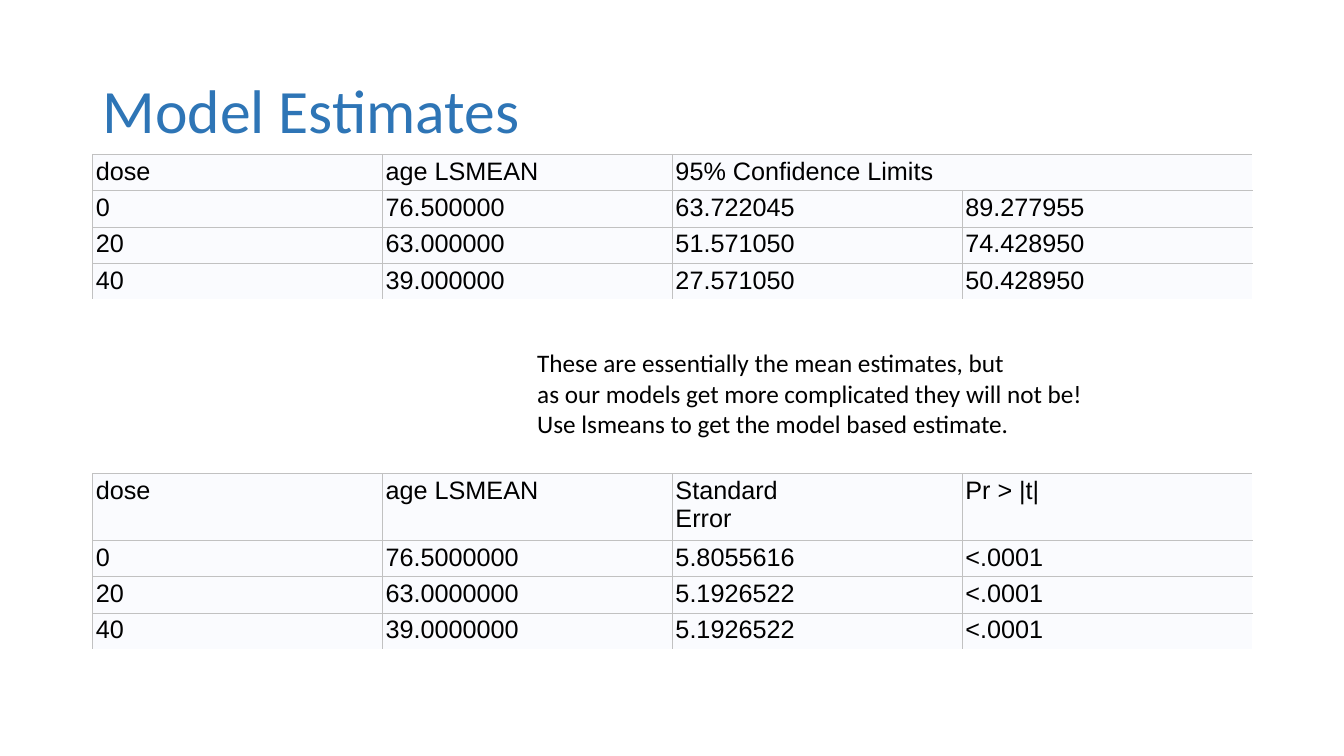
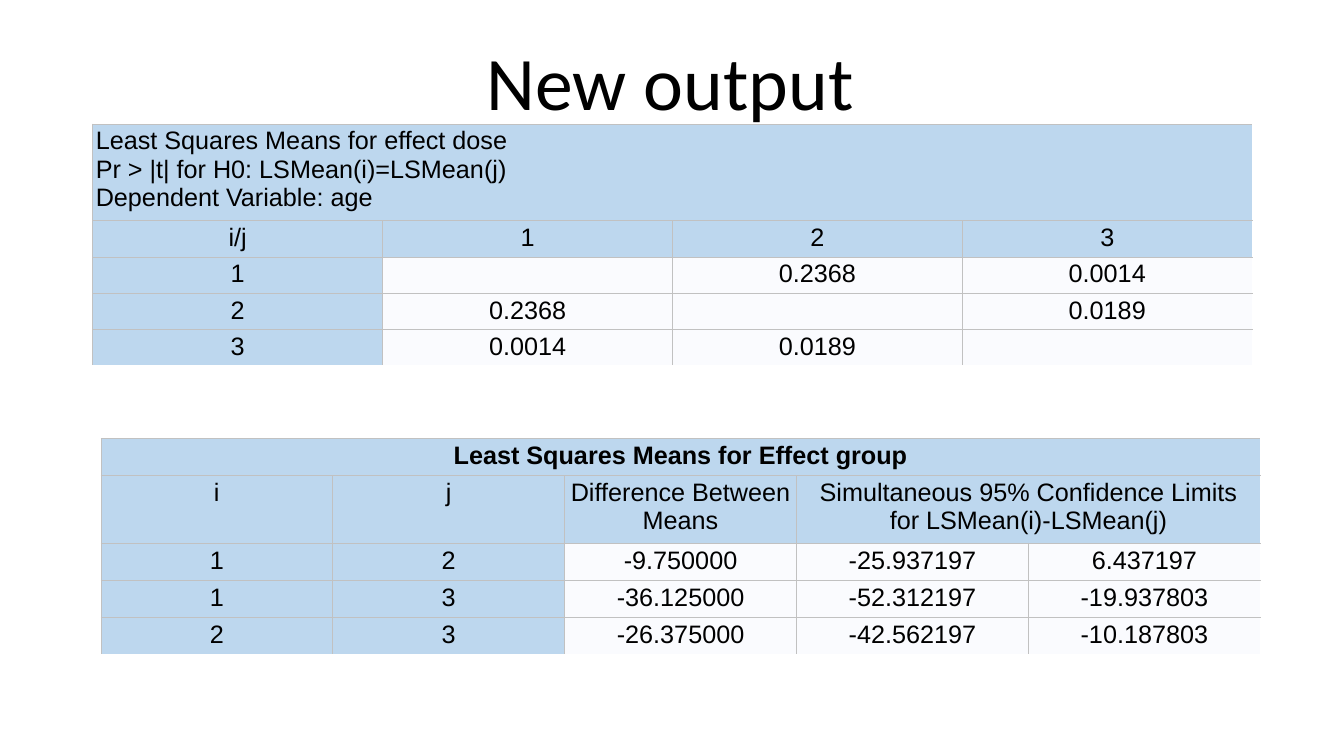
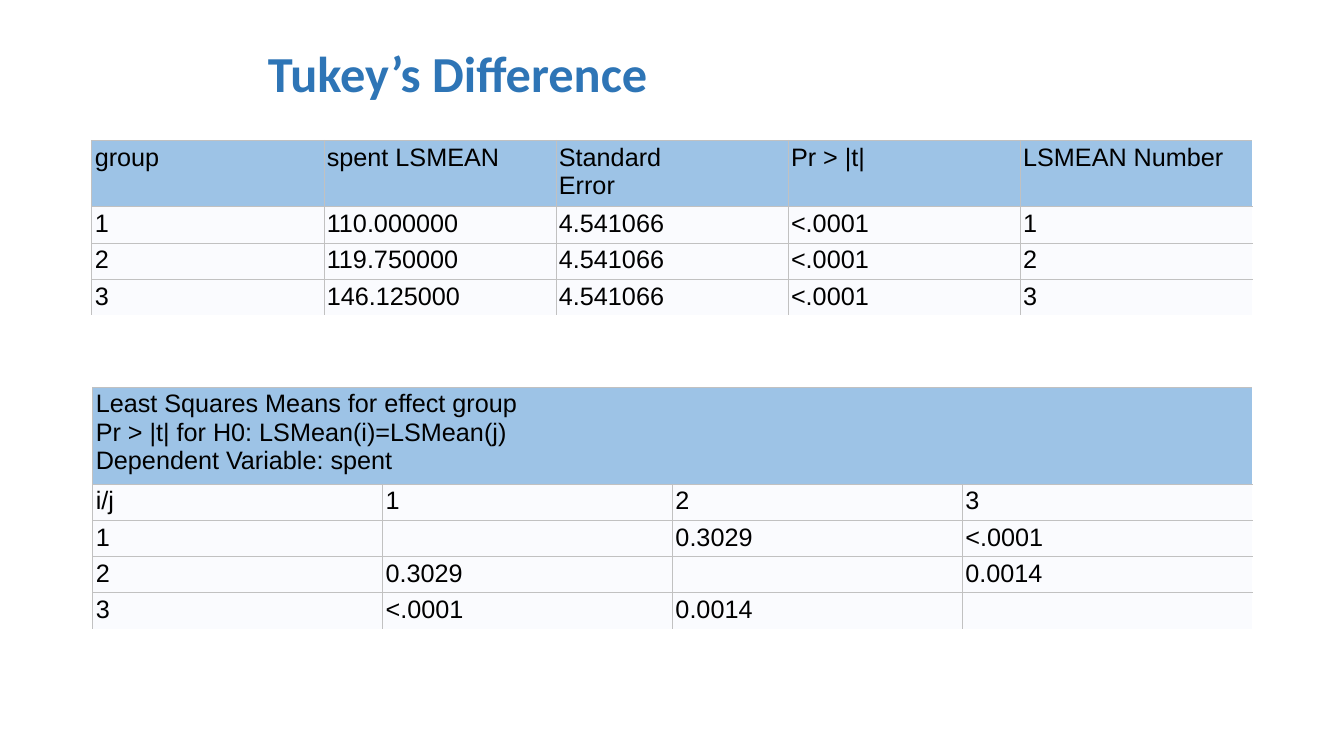
from dataclasses import dataclass

from lxml import etree
from pptx import Presentation
from pptx.dml.color import RGBColor
from pptx.enum.text import MSO_ANCHOR, PP_ALIGN
from pptx.oxml.ns import qn
from pptx.text.text import Font
from pptx.util import Emu, Pt

LEFT, MID = PP_ALIGN.LEFT, PP_ALIGN.CENTER
TOP, HALF = MSO_ANCHOR.TOP, MSO_ANCHOR.MIDDLE


@dataclass(frozen=True)
class Theme:
    ink: str = "000000"
    blue: str = "2E75B6"
    rule: str = "C1C1C1"
    pale: str = "FAFBFE"
    light: str = "BDD7EE"
    deep: str = "9DC3E6"
    text: str = "Calibri"
    data: str = "Arial"
    body: int = 18
    small: int = 36
    title: int = 44
    large: int = 54


T = Theme()


def px(n):
    """Turn px, 100 to the inch, into EMU."""
    return Emu(int(n * 9144))


def write(frame, text, size=T.body, face=T.text, color=T.ink, bold=False,
          align=LEFT, lead=None):
    """Fill a text frame; a newline in the text is a line break."""
    para = frame.paragraphs[0]
    para.text = text
    para.alignment = align
    if lead:
        para.line_spacing = lead
    node = para._p
    props = [run._r.get_or_add_rPr() for run in para.runs]
    props += [etree.SubElement(br, qn("a:rPr")) for br in node.findall(qn("a:br"))]
    props.append(node.get_or_add_endParaRPr())
    for prop in props:
        font = Font(prop)
        font.size, font.name, font.bold = Pt(size), face, bold
        font.color.rgb = RGBColor.from_string(color)


def label(slide, box, text, wrap=True, anchor=TOP, **style):
    frame = slide.shapes.add_textbox(*map(px, box)).text_frame
    frame.word_wrap = wrap
    frame.vertical_anchor = anchor
    write(frame, text, **style)


def edge(cell, sides):
    props = cell._tc.get_or_add_tcPr()
    for side in sides:
        line = etree.SubElement(props, qn("a:ln" + side), w=str(Pt(0.5)))
        fill = etree.SubElement(line, qn("a:solidFill"))
        etree.SubElement(fill, qn("a:srgbClr"), val=T.rule)


def grid(slide, box, rows, shade=T.pale, tops=0, sides=0, mid=None, lead=28,
         bold=False):
    """Draw a table in box (left, top, width).

    None joins a cell to the one on its left. The first `tops` rows and
    `sides` columns are shaded; rows from `mid` on are centred; `bold`
    marks the first row; `lead` is the height of a line of text.
    """
    left, top, width = box
    count = len(rows[0])
    tall = [7 + lead * max((t or "").count("\n") + 1 for t in row) for row in rows]
    table = slide.shapes.add_table(
        len(rows), count, *map(px, (left, top, width, sum(tall)))).table
    table.first_row = table.horz_banding = False
    for col in table.columns:
        col.width = px(width / count)
    for r, row in enumerate(rows):
        table.rows[r].height = px(tall[r])
        for c, text in enumerate(row):
            cell = table.cell(r, c)
            cell.margin_left = cell.margin_right = px(3)
            cell.margin_top = cell.margin_bottom = px(3)
            right = c + 1 < count and row[c + 1] is not None
            edge(cell, ("L" if text is not None else "") + ("R" if right else "")
                 + "T" + ("B" if r + 1 < len(rows) else ""))
            cell.fill.solid()
            tint = shade if r < tops or c < sides else T.pale
            cell.fill.fore_color.rgb = RGBColor.from_string(tint)
            if text is None:
                continue
            write(cell.text_frame, text, face=T.data, bold=bold and r == 0,
                  align=MID if mid is not None and r >= mid else LEFT)
            span = 1
            while c + span < count and row[c + span] is None:
                span += 1
            if span > 1:
                cell.merge(table.cell(r, c + span - 1))


def pairs(slide, box, effect, target, low, **style):
    """Draw the matrix of p-values; low holds those of 1-2, 1-3 and 2-3."""
    a, b, c = low
    head = (f"Least Squares Means for effect {effect}\n"
            f"Pr > |t| for H0: LSMean(i)=LSMean(j)\nDependent Variable: {target}")
    grid(slide, box, [
        [head, None, None, None],
        ["i/j", "1", "2", "3"],
        ["1", "", a, b],
        ["2", a, "", c],
        ["3", b, c, ""],
    ], **style)


def model(slide):
    label(slide, (92, 40, 1150, 145), "Model Estimates", anchor=HALF,
          size=T.title, color=T.blue, lead=0.9)
    grid(slide, (92, 153, 1150), [
        ["dose", "age LSMEAN", "95% Confidence Limits", None],
        ["0", "76.500000", "63.722045", "89.277955"],
        ["20", "63.000000", "51.571050", "74.428950"],
        ["40", "39.000000", "27.571050", "50.428950"],
    ])
    grid(slide, (92, 470, 1150), [
        ["dose", "age LSMEAN", "Standard\nError", "Pr > |t|"],
        ["0", "76.5000000", "5.8055616", "<.0001"],
        ["20", "63.0000000", "5.1926522", "<.0001"],
        ["40", "39.0000000", "5.1926522", "<.0001"],
    ])
    label(slide, (523, 340, 567, 101),
          "These are essentially the mean estimates, but\n"
          "as our models get more complicated they will not be!\n"
          "Use lsmeans to get the model based estimate.", wrap=False)


def output(slide):
    pairs(slide, (92, 123, 1150), "dose", "age", ("0.2368", "0.0014", "0.0189"),
          shade=T.light, tops=2, sides=1, mid=1)
    label(slide, (473, 30, 388, 101), "New output", wrap=False, size=T.large)
    grid(slide, (100, 435, 1150), [
        ["Least Squares Means for Effect group", None, None, None, None],
        ["i", "j", "Difference Between\nMeans",
         "Simultaneous 95% Confidence Limits\nfor LSMean(i)-LSMean(j)", None],
        ["1", "2", "-9.750000", "-25.937197", "6.437197"],
        ["1", "3", "-36.125000", "-52.312197", "-19.937803"],
        ["2", "3", "-26.375000", "-42.562197", "-10.187803"],
    ], shade=T.light, tops=2, sides=2, mid=0, lead=30, bold=True)


def tukey(slide):
    grid(slide, (91, 139, 1151), [
        ["group", "spent LSMEAN", "Standard\nError", "Pr > |t|", "LSMEAN Number"],
        ["1", "110.000000", "4.541066", "<.0001", "1"],
        ["2", "119.750000", "4.541066", "<.0001", "2"],
        ["3", "146.125000", "4.541066", "<.0001", "3"],
    ], shade=T.deep, tops=1)
    pairs(slide, (92, 384, 1150), "group", "spent", ("0.3029", "<.0001", "0.0014"),
          shade=T.deep, tops=1)
    label(slide, (256, 37, 667, 71), "Tukey’s Difference", size=T.small,
          color=T.blue, bold=True)


def main():
    deck = Presentation()
    deck.slide_width, deck.slide_height = px(1333), px(750)
    blank = deck.slide_layouts[6]
    for draw in (model, output, tukey):
        draw(deck.slides.add_slide(blank))
    deck.save("out.pptx")


if __name__ == "__main__":
    main()
